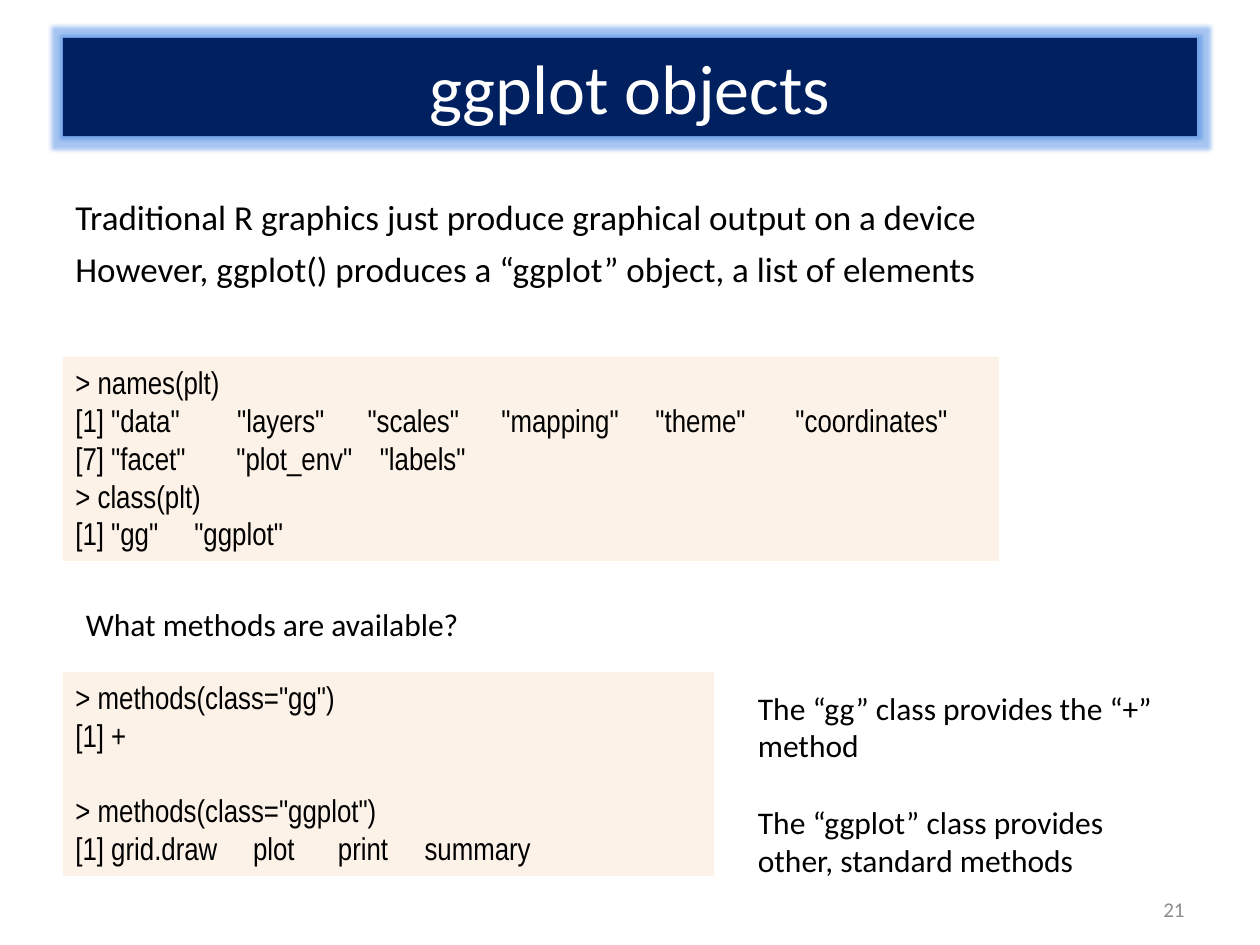
import pptx
import pptx.util
import pptx.dml.color
import pptx.enum.shapes
import pptx.enum.text
import pptx.oxml
import pptx.oxml.ns

Pt = pptx.util.Pt
Align = pptx.enum.text.PP_ALIGN
Anchor = pptx.enum.text.MSO_ANCHOR
qn = pptx.oxml.ns.qn
NS = pptx.oxml.ns.nsdecls("a")

NAVY, CREAM, GLOW = "002060", "FDEADA", "3A7FE0"
WHITE, BLACK, GREY = "FFFFFF", "000000", "8C8C8C"

# Each line: text, tab stops in points, space before in points
NAMES = [
    ("> names(plt)", [], 0),
    ('[1] "data"\t"layers"\t"scales"\t"mapping"\t"theme"\t"coordinates"',
     [92.5, 167, 243.5, 331.5, 411.5], 0),
    ('[7] "facet"\t"plot_env"\t"labels"', [92, 174], 0),
    ("> class(plt)", [], 0),
    ('[1] "gg"\t"ggplot"', [68], 0),
]
METHODS = [
    ('> methods(class="gg")', [], 0),
    ("[1] +", [], 0),
    ('> methods(class="ggplot")', [], 21.5),
    ("[1] grid.draw\tplot\tprint\tsummary", [101.5, 150, 199.5], 0),
]
INTRO = [
    ("Traditional R graphics just produce graphical output on a device", [], 0),
    ("However, ggplot() produces a “ggplot” object, a list of elements", [], 0),
]
NOTES = [
    ("The “gg” class provides the “+” method", [], 0),
    ("The “ggplot” class provides other, standard methods", [], 22),
]

deck = pptx.Presentation()
deck.slide_width, deck.slide_height = Pt(720), Pt(540)
slide = deck.slides.add_slide(deck.slide_layouts[6])


def paint(color):
    return pptx.dml.color.RGBColor.from_string(color)


def write(text, box, fill=None, alpha=100, size=18, font="Calibri",
          color=BLACK, align=Align.LEFT, anchor=Anchor.TOP, after=0):
    place = [Pt(n) for n in box]
    if fill:
        shape = slide.shapes.add_shape(
            pptx.enum.shapes.MSO_SHAPE.RECTANGLE, *place)
        shape.shadow.inherit = False
        shape.line.fill.background()
        shape.fill.solid()
        shape.fill.fore_color.rgb = paint(fill)
        if alpha < 100:
            tint = shape.fill._xPr.find(".//" + qn("a:srgbClr"))
            tint.append(pptx.oxml.parse_xml(
                f'<a:alpha {NS} val="{alpha * 1000}"/>'))
    else:
        shape = slide.shapes.add_textbox(*place)
    frame = shape.text_frame
    frame.word_wrap = True
    frame.vertical_anchor = anchor
    lines = [(text, [], 0)] if isinstance(text, str) else text
    for i, (words, stops, before) in enumerate(lines):
        para = frame.add_paragraph() if i else frame.paragraphs[0]
        if stops:
            tabs = "".join(f'<a:tab pos="{int(Pt(n))}" algn="l"/>'
                           for n in stops)
            para._p.get_or_add_pPr().append(pptx.oxml.parse_xml(
                f"<a:tabLst {NS}>{tabs}</a:tabLst>"))
        para.alignment = align
        para.space_before, para.space_after = Pt(before), Pt(after)
        run = para.add_run()
        run.text = words
        run.font.size, run.font.name = Pt(size), font
        run.font.color.rgb = paint(color)
    return shape


code = dict(fill=CREAM, alpha=60, font="Arial Narrow")

title = write("ggplot objects", (36, 21.6, 648, 56.2), fill=NAVY, size=40,
              color=WHITE, align=Align.CENTER, anchor=Anchor.MIDDLE)
title._element.spPr.find(qn("a:effectLst")).append(pptx.oxml.parse_xml(
    f'<a:glow {NS} rad="{int(Pt(5))}"><a:srgbClr val="{GLOW}">'
    '<a:alpha val="45000"/></a:srgbClr></a:glow>'))
write("21", (516, 510, 168, 19.5), size=12, color=GREY,
      align=Align.RIGHT, anchor=Anchor.MIDDLE)
write(INTRO, (36, 108, 654, 62), size=20, after=6)
write(NAMES, (36, 204, 535, 116.5), **code)
write("What methods are available?", (42, 342, 648, 29))
write(METHODS, (36, 384, 372, 116.5), **code)
write(NOTES, (426, 390, 240, 116.5))

deck.save("out.pptx")
